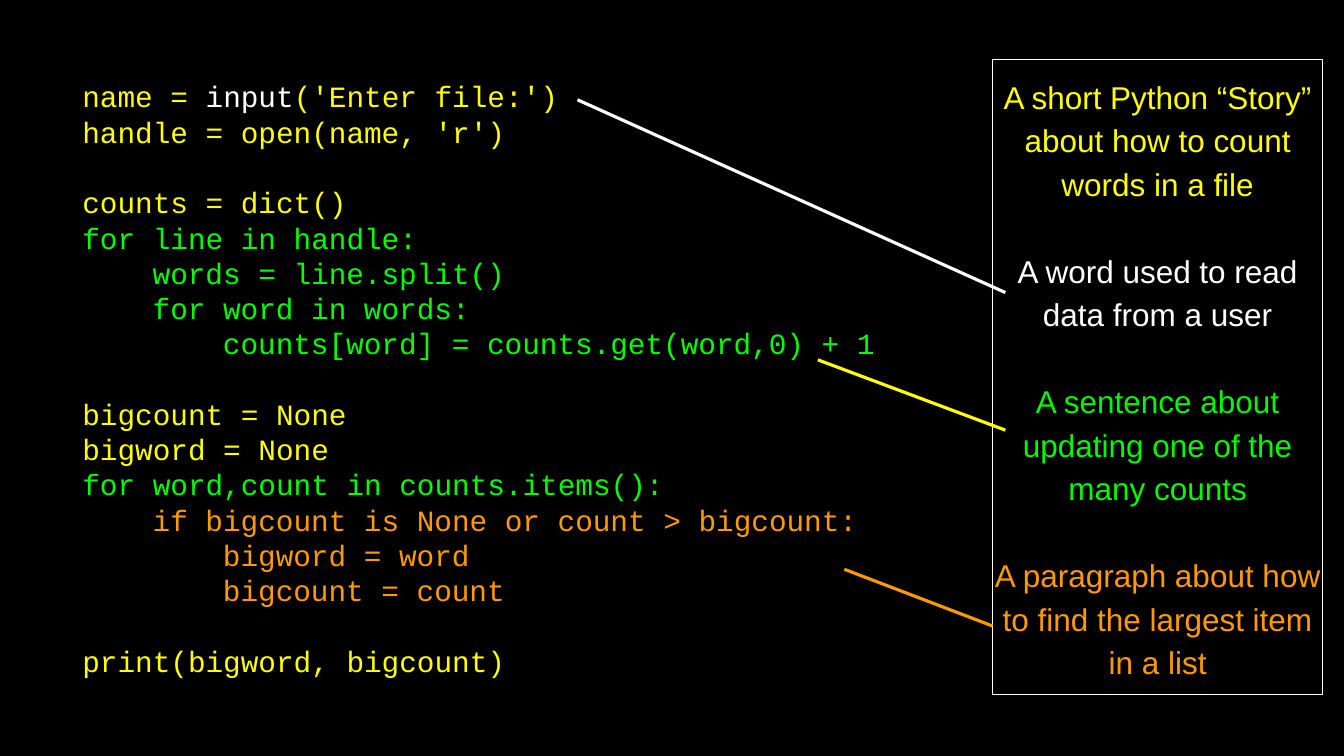
from lxml.etree import SubElement
from pptx import Presentation
from pptx.dml.color import RGBColor
from pptx.enum.shapes import MSO_CONNECTOR, MSO_SHAPE
from pptx.enum.text import MSO_ANCHOR, PP_ALIGN
from pptx.oxml.ns import qn
from pptx.util import Inches, Pt

YELLOW, WHITE, GREEN, ORANGE = "FFFF00", "FFFFFF", "00FF00", "FF9900"
NOTE_GREEN = "00FA00"
INDENT = 0.93


def color(value):
    return RGBColor.from_string(value)


def add_text(frame, index, spans, *, font, size, pitch, align, indent=0, gap=False):
    para = frame.add_paragraph() if index else frame.paragraphs[0]
    para.alignment = align
    para.line_spacing = Pt(pitch)
    para.space_before = Pt(pitch if gap else 0)
    properties = para._p.get_or_add_pPr()
    properties.set("marL", str(Inches(indent * INDENT)))
    properties.set("indent", "0")
    for text, hue in spans:
        span = para.add_run()
        span.text = text
        span.font.name = font
        span.font.size = Pt(size)
        span.font.color.rgb = color(hue)


deck = Presentation()
deck.slide_width = Inches(17.78)
deck.slide_height = Inches(10)
page = deck.slides.add_slide(deck.slide_layouts[6])
page.background.fill.solid()
page.background.fill.fore_color.rgb = color("000000")

code_box = page.shapes.add_textbox(Inches(1.09), Inches(0.88), Inches(10.97), Inches(8.25))
story_panel = page.shapes.add_shape(
    MSO_SHAPE.RECTANGLE, Inches(13.13), Inches(0.78), Inches(4.37), Inches(8.4)
)
story_panel.shadow.inherit = False
story_panel.fill.background()
story_panel.line.color.rgb = color(WHITE)
story_panel.line.width = Pt(0.75)

for box in (code_box, story_panel):
    frame = box.text_frame
    frame.word_wrap = True
    frame.vertical_anchor = MSO_ANCHOR.MIDDLE
    frame.margin_left = frame.margin_right = frame.margin_top = frame.margin_bottom = 0

code_lines = [
    (0, False, [("name = ", YELLOW), ("input", WHITE), ("('Enter file:')", YELLOW)]),
    (0, False, [("handle = open(name, 'r')", YELLOW)]),
    (0, True, [("counts = dict()", YELLOW)]),
    (0, False, [("for line in handle:", GREEN)]),
    (1, False, [("words = line.split()", GREEN)]),
    (1, False, [("for word in words:", GREEN)]),
    (2, False, [("counts[word] = counts.get(word,0) + 1", GREEN)]),
    (0, True, [("bigcount = None", YELLOW)]),
    (0, False, [("bigword = None", YELLOW)]),
    (0, False, [("for word,count in counts.items():", GREEN)]),
    (1, False, [("if bigcount is None or count > bigcount:", ORANGE)]),
    (2, False, [("bigword = word", ORANGE)]),
    (2, False, [("bigcount = count", ORANGE)]),
    (0, True, [("print(bigword, bigcount)", YELLOW)]),
]
for index, (indent, gap, spans) in enumerate(code_lines):
    add_text(code_box.text_frame, index, spans, font="Courier New", size=28,
             pitch=33.6, align=PP_ALIGN.LEFT, indent=indent, gap=gap)

notes = [
    ("A short Python “Story” about how to count words in a file", YELLOW),
    ("A word used to read data from a user", WHITE),
    ("A sentence about updating one of the many counts", NOTE_GREEN),
    ("A paragraph about how to find the largest item in a list", ORANGE),
]
for index, note in enumerate(notes):
    add_text(story_panel.text_frame, index, [note], font="Arial", size=30,
             pitch=41.4, align=PP_ALIGN.CENTER, gap=index > 0)

pointers = [
    (7.64, 1.32, 13.3, 3.87, WHITE),
    (10.82, 4.76, 13.3, 5.69, YELLOW),
    (11.17, 7.53, 13.13, 8.28, ORANGE),
]
for start_x, start_y, end_x, end_y, hue in pointers:
    pointer = page.shapes.add_connector(
        MSO_CONNECTOR.STRAIGHT, Inches(start_x), Inches(start_y), Inches(end_x), Inches(end_y)
    )
    pointer.line.color.rgb = color(hue)
    pointer.line.width = Pt(3)
    SubElement(pointer._element.spPr, qn("a:effectLst"))

deck.save("out.pptx")
